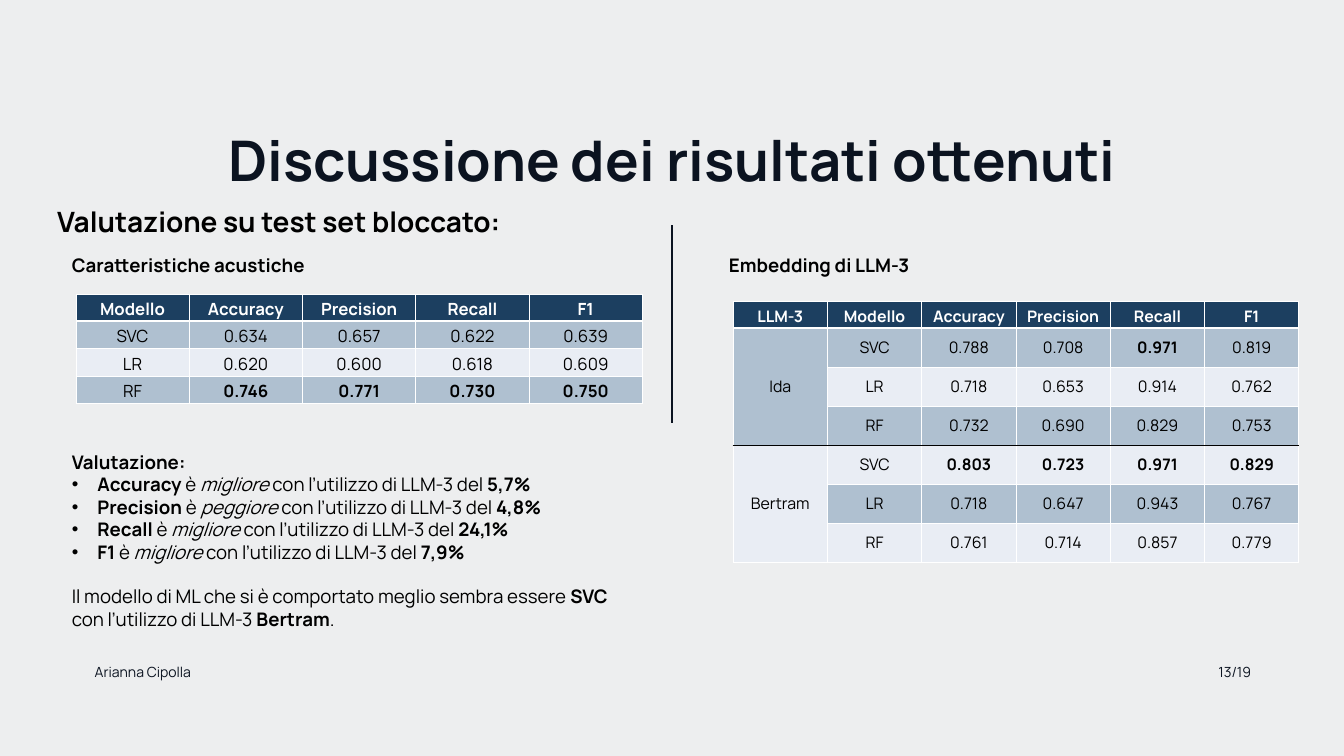
from lxml.etree import SubElement
from pptx import Presentation
from pptx.dml.color import RGBColor
from pptx.enum.shapes import MSO_CONNECTOR
from pptx.enum.text import MSO_ANCHOR, PP_ALIGN
from pptx.oxml import parse_xml
from pptx.oxml.ns import nsdecls, qn
from pptx.util import Pt

PX = 9144  # 100 px to the inch
FONT = "Manrope"
HEX = {
    "page": "EDEEEF", "ink": "0B1320", "black": "000000", "white": "FFFFFF",
    "head": "1C3F60", "dark": "AFC0D0", "light": "E9EDF4",
}

# A leading * marks a bold value
SOUND = [
    ["Modello", "Accuracy", "Precision", "Recall", "F1"],
    ["SVC", "0.634", "0.657", "0.622", "0.639"],
    ["LR", "0.620", "0.600", "0.618", "0.609"],
    ["RF", "*0.746", "*0.771", "*0.730", "*0.750"],
]
EMBED = [
    ["LLM-3", "Modello", "Accuracy", "Precision", "Recall", "F1"],
    ["Ida", "SVC", "0.788", "0.708", "*0.971", "0.819"],
    ["", "LR", "0.718", "0.653", "0.914", "0.762"],
    ["", "RF", "0.732", "0.690", "0.829", "0.753"],
    ["Bertram", "SVC", "*0.803", "*0.723", "*0.971", "*0.829"],
    ["", "LR", "0.718", "0.647", "0.943", "0.767"],
    ["", "RF", "0.761", "0.714", "0.857", "0.779"],
]
CHANGES = [
    ("Accuracy", "migliore", "5,7%"),
    ("Precision", "peggiore", "4,8%"),
    ("Recall", "migliore", "24,1%"),
    ("F1", "migliore", "7,9%"),
]


def rgb(name):
    return RGBColor.from_string(HEX[name])


def style(para, size, color, bold=None):
    font = para.font
    font.name, font.size, font.bold = FONT, Pt(size), bold
    font.color.rgb = rgb(color)


def add_box(slide, area, inset=True):
    frame = slide.shapes.add_textbox(*(n * PX for n in area)).text_frame
    frame.word_wrap = True
    if not inset:
        frame.margin_left = frame.margin_right = 0
        frame.margin_top = frame.margin_bottom = 0
    return frame


def add_label(slide, area, text, size, color="black", bold=True, lead=None):
    """One line of text; a fixed line pitch goes with a box without insets."""
    para = add_box(slide, area, inset=lead is None).paragraphs[0]
    para.text = text
    style(para, size, color, bold)
    if lead:
        para.line_spacing = Pt(lead)
    return para


def add_runs(para, parts):
    """Parts are (text, mark) pairs: b is bold, i is italic."""
    style(para, 20, "black")
    for text, mark in parts:
        run = para.add_run()
        run.text = text
        run.font.bold = mark == "b"
        run.font.italic = mark == "i"


def add_bullet(para):
    props = para._p.get_or_add_pPr()
    props.set("marL", str(38 * PX))
    props.set("indent", str(-38 * PX))
    SubElement(props, qn("a:buFont"), typeface="Arial")
    SubElement(props, qn("a:buChar"), char="•")


def set_edge(cell, side, color="white", width=1):
    cell._tc.get_or_add_tcPr().append(parse_xml(
        f'<a:ln{side} {nsdecls("a")} w="{Pt(width)}"><a:solidFill>'
        f'<a:srgbClr val="{HEX[color]}"/></a:solidFill></a:ln{side}>'))


def add_grid(slide, area, data, size, head, group=0):
    """Banded table; group is the number of rows that share a first cell."""
    table = slide.shapes.add_table(
        len(data), len(data[0]), *(n * PX for n in area)).table
    body = (area[3] - head) * PX // (len(data) - 1)
    for r, line in enumerate(data):
        table.rows[r].height = body if r else head * PX
        for c, text in enumerate(line):
            cell = table.cell(r, c)
            # Black rule between the groups
            above = group and r == group + 1
            below = group and (r == group or (r, c) == (1, 0))
            set_edge(cell, "L")
            set_edge(cell, "R")
            set_edge(cell, "T", "black" if above else "white", 1 if r != 1 else 3)
            set_edge(cell, "B", "black" if below else "white", 1 if r else 3)
            cell.fill.solid()
            band = "dark" if r % 2 else "light"
            if group and c == 0:
                band = "dark" if r <= group else "light"
            cell.fill.fore_color.rgb = rgb(band if r else "head")
            if r:
                cell.vertical_anchor = MSO_ANCHOR.MIDDLE
            if text:
                para = cell.text_frame.paragraphs[0]
                para.text = text.lstrip("*")
                para.alignment = PP_ALIGN.CENTER
                bold = r == 0 or text.startswith("*")
                style(para, size, "black" if r else "white", bold)
    if group:
        for r in range(1, len(data), group):
            table.cell(r, 0).merge(table.cell(r + group - 1, 0))


def add_notes(slide, area):
    frame = add_box(slide, area)
    add_runs(frame.paragraphs[0], [("Valutazione:", "b")])
    for name, trend, value in CHANGES:
        para = frame.add_paragraph()
        add_runs(para, [(name, "b"), (" è ", ""), (trend, "i"),
                        (" con l’utilizzo di LLM-3 del ", ""), (value, "b")])
        add_bullet(para)
    para = frame.add_paragraph()
    para.space_before = Pt(24)
    add_runs(para, [
        ("Il modello di ML che si è comportato meglio sembra essere ", ""),
        ("SVC", "b"), (" con l’utilizzo di LLM-3 ", ""),
        ("Bertram", "b"), (".", "")])


def add_rule(slide, x, top, end):
    line = slide.shapes.add_connector(
        MSO_CONNECTOR.STRAIGHT, x * PX, top * PX, x * PX, end * PX)
    line.line.color.rgb = rgb("ink")
    line.line.width = Pt(2.25)
    SubElement(line._element.spPr, qn("a:effectLst"))


def main():
    deck = Presentation()
    deck.slide_width, deck.slide_height = 2000 * PX, 1125 * PX
    slide = deck.slides.add_slide(deck.slide_layouts[6])
    slide.background.fill.solid()
    slide.background.fill.fore_color.rgb = rgb("page")

    # Title and footer
    title = add_label(slide, (262, 191, 1476, 98),
                      "Discussione dei risultati ottenuti", 60, "ink", lead=69)
    title.alignment = PP_ALIGN.CENTER
    add_label(slide, (141, 974, 218, 36), "Arianna Cipolla", 15, "ink", False, 28)
    add_label(slide, (1813, 974, 75, 36), "13/19", 15, "ink", False, 28)

    # Headings
    add_label(slide, (75, 300, 721, 61), "Valutazione su test set bloccato:", 30)
    add_label(slide, (97, 373, 390, 44), "Caratteristiche acustiche", 20)
    add_label(slide, (1075, 373, 314, 44), "Embedding di LLM-3", 20)

    # Result tables
    add_grid(slide, (113, 438, 843, 163), SOUND, 18, head=40)
    add_grid(slide, (1091, 449, 842, 388), EMBED, 17, head=39, group=3)

    # Comments and divider
    add_notes(slide, (97, 666, 859, 279))
    add_rule(slide, 1000, 335, 629)
    deck.save("out.pptx")


if __name__ == "__main__":
    main()
